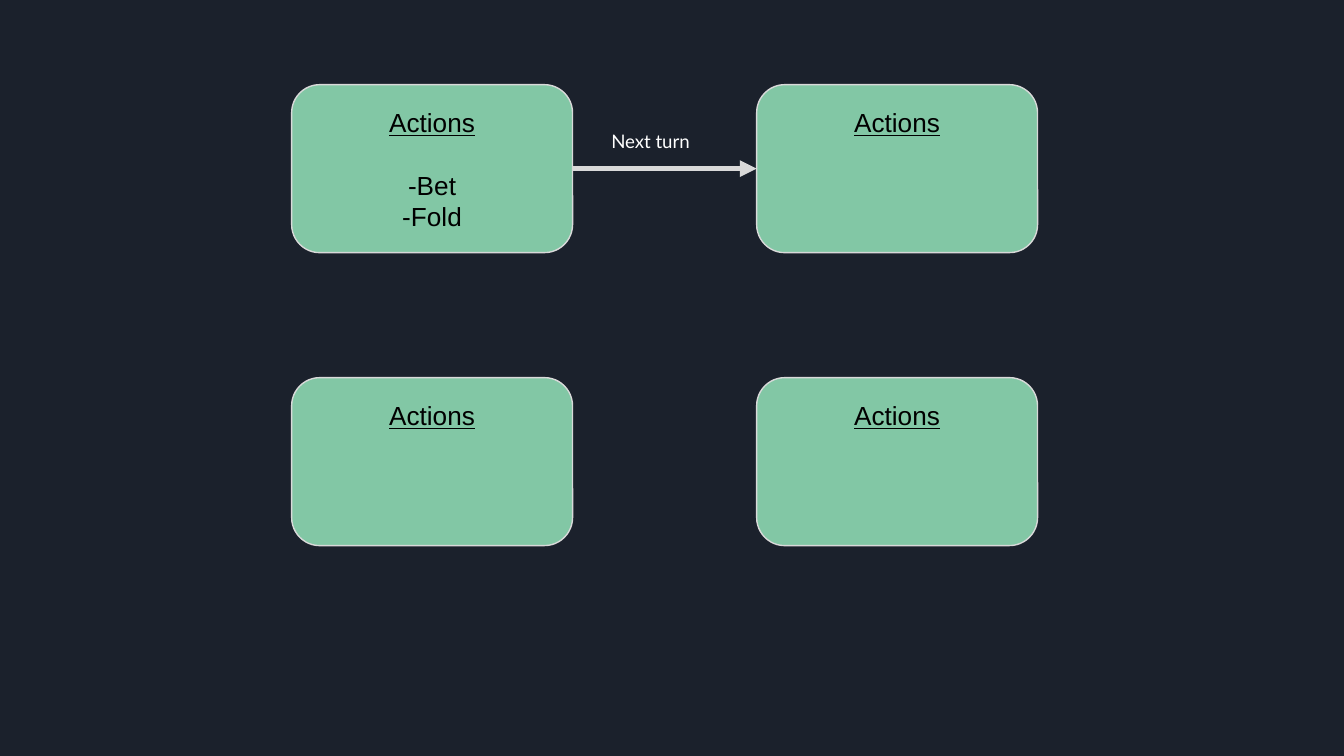
import pptx
import pptx.util
import pptx.dml.color
import pptx.enum.shapes
import pptx.enum.text
import pptx.oxml.ns
import lxml.etree

Inches = pptx.util.Inches
Pt = pptx.util.Pt

COLORS = {
    "background": "1B212C",
    "card": "82C7A5",
    "line": "D9D9D9",
    "card_text": "000000",
    "label": "FFFFFF",
}
CARD_W, CARD_H = 2.09, 1.25
LEFT, TOP = 2.17, 0.63
COL_STEP, ROW_STEP = 3.46, 2.18


def color(name):
    return pptx.dml.color.RGBColor.from_string(COLORS[name])


def format_frame(tf):
    tf.word_wrap = True
    tf.vertical_anchor = pptx.enum.text.MSO_ANCHOR.TOP
    tf.margin_left = tf.margin_right = Inches(0.1)
    tf.margin_top = tf.margin_bottom = Inches(0.1)


def write(p, text, font="Arial", size=14, fill="card_text", underline=False,
          align=pptx.enum.text.PP_ALIGN.CENTER, before=0):
    p.alignment = align
    p.space_before = Pt(before)
    r = p.add_run()
    r.text = text
    r.font.name = font
    r.font.size = Pt(size)
    r.font.underline = underline
    r.font.color.rgb = color(fill)


def add_card(s, x, y, w, h, actions=()):
    sp = s.shapes.add_shape(pptx.enum.shapes.MSO_SHAPE.ROUNDED_RECTANGLE,
                            Inches(x), Inches(y), Inches(w), Inches(h))
    sp.shadow.inherit = False
    sp.adjustments[0] = 0.167
    sp.fill.solid()
    sp.fill.fore_color.rgb = color("card")
    sp.line.color.rgb = color("line")
    sp.line.width = Pt(0.75)
    tf = sp.text_frame
    format_frame(tf)
    write(tf.paragraphs[0], "Actions", underline=True)
    for i, action in enumerate(actions):
        write(tf.add_paragraph(), action, before=17 if i == 0 else 0)
    return sp


def add_turn(s, start, end, x, y, w, h, text):
    c = s.shapes.add_connector(pptx.enum.shapes.MSO_CONNECTOR.STRAIGHT, 0, 0, 0, 0)
    c.begin_connect(start, 3)
    c.end_connect(end, 1)
    c.line.color.rgb = color("line")
    c.line.width = Pt(3)
    qn = pptx.oxml.ns.qn
    ln = c._element.spPr.find(qn("a:ln"))
    lxml.etree.SubElement(ln, qn("a:tailEnd"), type="triangle")
    lxml.etree.SubElement(c._element.spPr, qn("a:effectLst"))

    tb = s.shapes.add_textbox(Inches(x + 0.19), Inches(y), Inches(w - 0.39), Inches(h))
    tf = tb.text_frame
    format_frame(tf)
    tf.auto_size = pptx.enum.text.MSO_AUTO_SIZE.SHAPE_TO_FIT_TEXT
    write(tf.paragraphs[0], text, font="Lato", size=10, fill="label",
          align=pptx.enum.text.PP_ALIGN.LEFT)


def build_slide(prs):
    s = prs.slides.add_slide(prs.slide_layouts[6])
    s.background.fill.solid()
    s.background.fill.fore_color.rgb = color("background")
    cards = {}
    for row in range(2):
        for col in range(2):
            actions = ("-Bet", "-Fold") if (row, col) == (0, 0) else ()
            cards[row, col] = add_card(s, LEFT + col * COL_STEP, TOP + row * ROW_STEP,
                                       CARD_W, CARD_H, actions)
    add_turn(s, cards[0, 0], cards[0, 1], LEFT + CARD_W, 0.88,
             COL_STEP - CARD_W, 0.37, "Next turn")


def main():
    prs = pptx.Presentation()
    prs.slide_width = Inches(10)
    prs.slide_height = prs.slide_width * 9 // 16
    build_slide(prs)
    prs.save("out.pptx")


if __name__ == "__main__":
    main()
